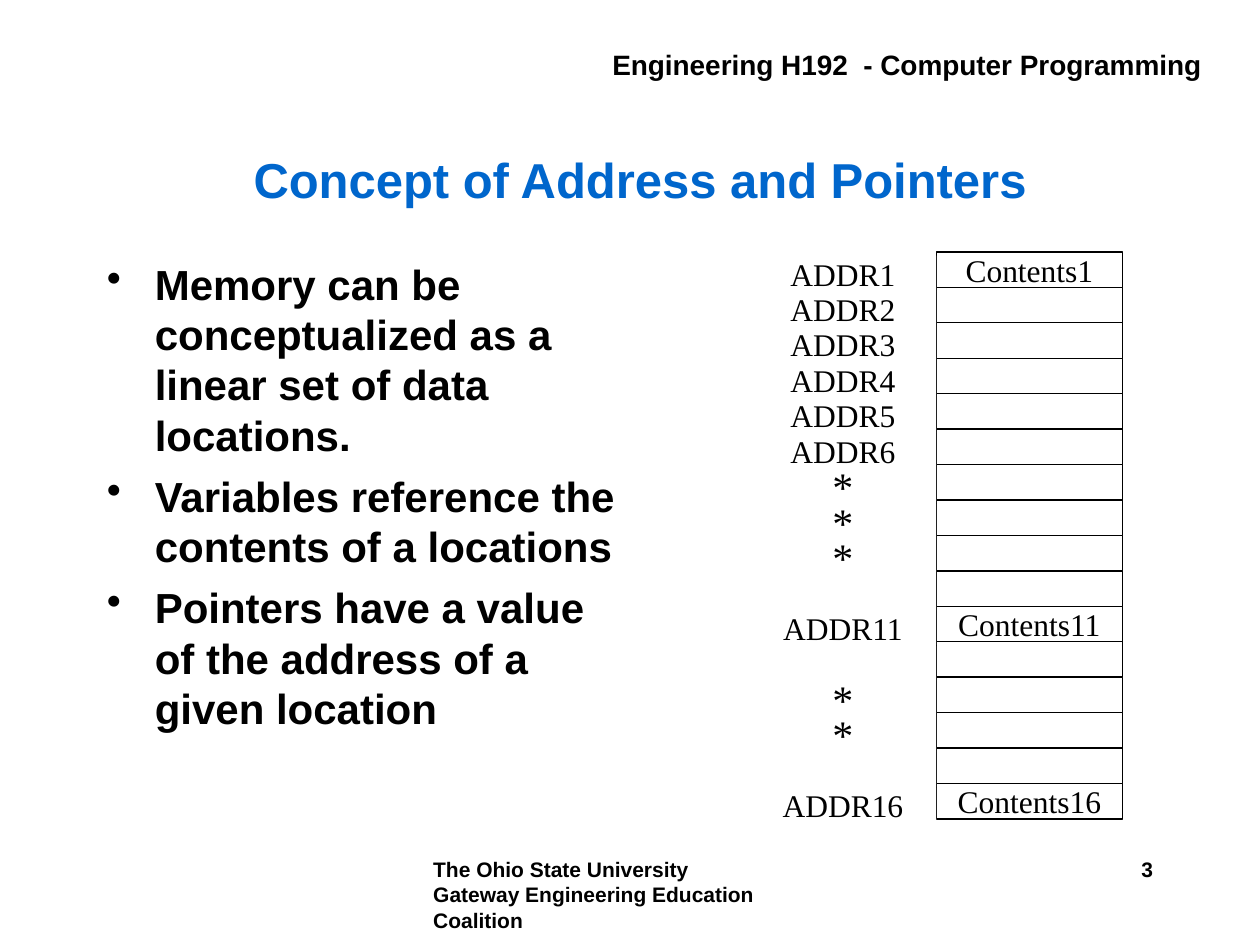
from dataclasses import dataclass

import pptx
import pptx.dml.color
import pptx.enum.shapes
import pptx.enum.text
import pptx.oxml
import pptx.oxml.ns
import pptx.util
from pptx.util import Inches

ALIGN = pptx.enum.text.PP_ALIGN
ANCHOR = pptx.enum.text.MSO_ANCHOR


@dataclass(frozen=True)
class Theme:
    ink: str = "000000"
    paper: str = "FFFFFF"
    accent: str = "0066CC"
    heading_font: str = "Arial"
    memory_font: str = "Times New Roman"
    title_size: int = 28
    body_size: int = 24
    header_size: int = 16
    footer_size: int = 12
    memory_size: int = 18
    star_size: int = 24


THEME = Theme()

BULLETS = [
    "Memory can be conceptualized as a linear set of data locations.",
    "Variables reference the contents of a locations",
    "Pointers have a value of the address of a given location",
]
FOOTER = ["The Ohio State University", "Gateway Engineering Education Coalition"]

CELL_COUNT = 16
CELL_WIDTH = 1.48
CELL_HEIGHT = 4.5 / CELL_COUNT
CONTENTS = {number: f"Contents{number}" for number in (1, 11, 16)}
ADDRESSES = {number: f"ADDR{number}" for number in (1, 2, 3, 4, 5, 6, 11, 16)}
ADDRESSES.update({number: "*" for number in (7, 8, 9, 13, 14)})


def rgb(value):
    return pptx.dml.color.RGBColor.from_string(value)


def add_run(paragraph, text, size, font=THEME.heading_font, color=THEME.ink, bold=True):
    run = paragraph.add_run()
    run.text = text
    run.font.size = pptx.util.Pt(size)
    run.font.name = font
    run.font.bold = bold
    run.font.color.rgb = rgb(color)


def add_title(slide, text):
    title = slide.shapes.title
    title.left, title.top = Inches(0.83), Inches(1.17)
    title.width, title.height = Inches(8.5), Inches(0.5)
    frame = title.text_frame
    frame.auto_size = pptx.enum.text.MSO_AUTO_SIZE.NONE
    frame.vertical_anchor = ANCHOR.MIDDLE
    paragraph = frame.paragraphs[0]
    paragraph.alignment = ALIGN.CENTER
    add_run(paragraph, text, THEME.title_size, color=THEME.accent)


def add_text(slide, left, top, width, height, lines, size, wrap=False, align=ALIGN.LEFT):
    """Add a bold text box with one paragraph a line and return its paragraphs."""
    box = slide.shapes.add_textbox(Inches(left), Inches(top), Inches(width), Inches(height))
    frame = box.text_frame
    frame.word_wrap = wrap
    for index, line in enumerate(lines):
        paragraph = frame.add_paragraph() if index else frame.paragraphs[0]
        paragraph.alignment = align
        add_run(paragraph, line, size)
    return frame.paragraphs


def set_bullet(paragraph):
    paragraph.space_before = pptx.util.Pt(6)
    properties = paragraph._p.get_or_add_pPr()
    properties.set("marL", str(Inches(0.38)))
    properties.set("indent", str(-Inches(0.38)))
    bullet = pptx.oxml.parse_xml(
        f'<a:buChar {pptx.oxml.ns.nsdecls("a")} char="•"/>'
    )
    properties.append(bullet)


def add_cell(slide, left, top, text, bordered):
    cell = slide.shapes.add_shape(
        pptx.enum.shapes.MSO_SHAPE.RECTANGLE,
        Inches(left), Inches(top), Inches(CELL_WIDTH), Inches(CELL_HEIGHT),
    )
    cell.shadow.inherit = False
    cell.fill.solid()
    cell.fill.fore_color.rgb = rgb(THEME.paper)
    if bordered:
        cell.line.color.rgb = rgb(THEME.ink)
        cell.line.width = pptx.util.Pt(0.75)
    else:
        cell.line.fill.background()
    if text:
        frame = cell.text_frame
        frame.word_wrap = False
        frame.vertical_anchor = ANCHOR.MIDDLE
        paragraph = frame.paragraphs[0]
        paragraph.alignment = ALIGN.CENTER
        size = THEME.star_size if text == "*" else THEME.memory_size
        add_run(paragraph, text, size, font=THEME.memory_font, bold=False)


def add_memory_column(slide, left, top, texts, bordered):
    for index in range(CELL_COUNT):
        add_cell(slide, left, top + index * CELL_HEIGHT, texts.get(index + 1), bordered)


def main():
    presentation = pptx.Presentation()
    presentation.slide_width = Inches(10)
    presentation.slide_height = Inches(7.5)
    slide = presentation.slides.add_slide(presentation.slide_layouts[5])

    add_text(slide, 4.7, 0.33, 4.94, 0.37,
             [" Engineering H192  - Computer Programming"], THEME.header_size)
    add_text(slide, 3.34, 6.75, 3.5, 0.5, FOOTER, THEME.footer_size)
    add_title(slide, "Concept of Address and Pointers")
    for paragraph in add_text(slide, 0.75, 2, 4.25, 4.5, BULLETS, THEME.body_size, wrap=True):
        set_bullet(paragraph)
    add_memory_column(slide, 7.43, 2, CONTENTS, bordered=True)
    add_memory_column(slide, 5.95, 2.03, ADDRESSES, bordered=False)
    add_text(slide, 7.17, 6.75, 2.08, 0.5, ["3"], THEME.footer_size,
             wrap=True, align=ALIGN.RIGHT)

    presentation.save("out.pptx")


if __name__ == "__main__":
    main()
